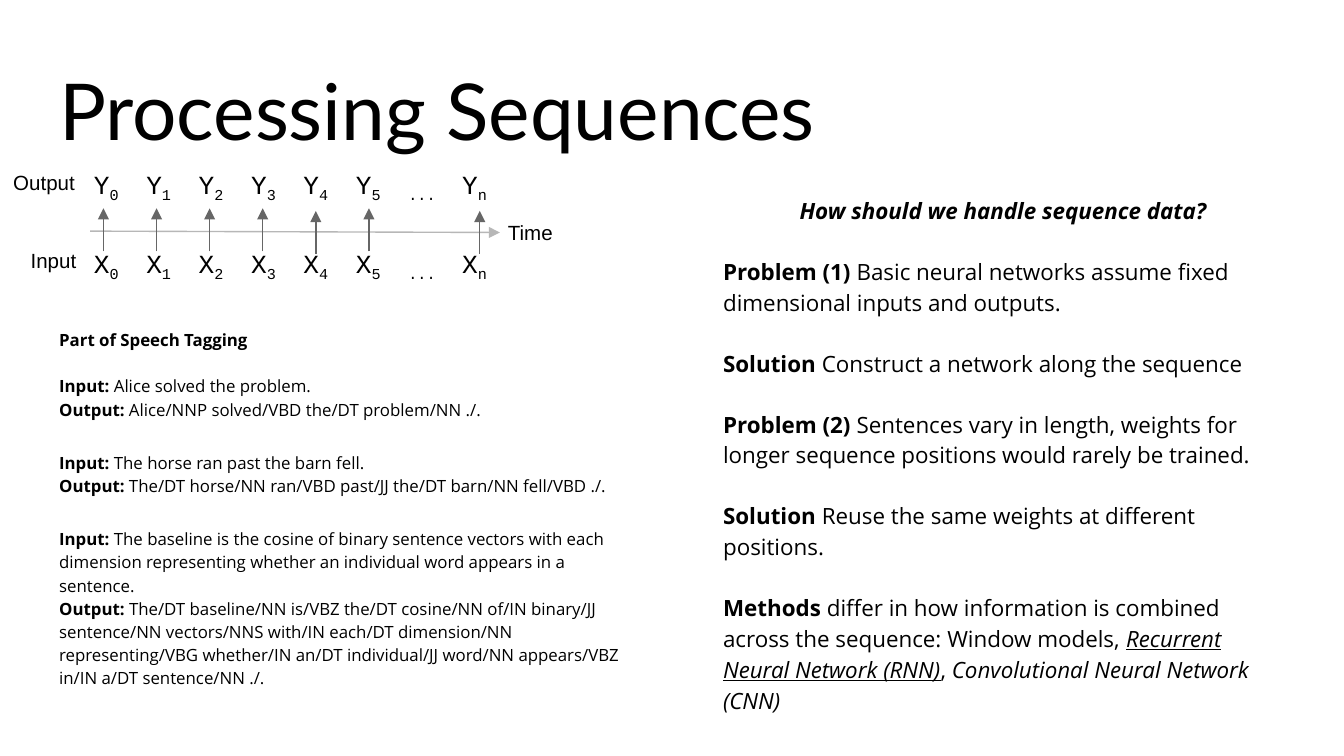
"""Build a slide on processing sequences with neural networks."""
from lxml.etree import SubElement
from pptx import Presentation
from pptx.dml.color import RGBColor
from pptx.enum.shapes import MSO_CONNECTOR
from pptx.enum.text import MSO_ANCHOR, MSO_AUTO_SIZE, PP_ALIGN
from pptx.oxml.ns import qn
from pptx.util import Inches, Pt

BLACK = RGBColor(0x00, 0x00, 0x00)
DARK_GRAY = RGBColor(0x66, 0x66, 0x66)
LIGHT_GRAY = RGBColor(0xB7, 0xB7, 0xB7)

STEP_GAP = 0.39
ARROW_GAP = 0.395
STEPS = ["0", "1", "2", "3", "4", "5", "...", "n"]
TAB_STOPS = [STEP_GAP * number for number in range(1, 7)] + [2.74]
ARROW_LEFTS = [0.77 + ARROW_GAP * number for number in range(6)] + [3.57]
ARROW_BOTTOMS = [1.87, 1.87, 1.87, 1.87, 1.89, 1.87, 1.89]
ARROW_LENGTH = 0.32

TAGGING = [
    (0, [("Part of Speech Tagging", "b")]),
    (12.5, [("Input:", "b"), (" Alice solved the problem.", ""), ("\n", ""),
            ("Output:", "b"), (" Alice/NNP solved/VBD the/DT problem/NN ./.", "")]),
    (16, [("Input:", "b"), (" The horse ran past the barn fell.", ""), ("\n", ""),
          ("Output:", "b"),
          (" The/DT horse/NN ran/VBD past/JJ the/DT barn/NN fell/VBD ./.", "")]),
    (16, [("Input:", "b"),
          (" The baseline is the cosine of binary sentence vectors with each dimension "
           "representing whether an individual word appears in a sentence.", ""),
          ("\n", ""), ("Output: ", "b"),
          ("The/DT baseline/NN is/VBZ the/DT cosine/NN of/IN binary/JJ sentence/NN "
           "vectors/NNS with/IN each/DT dimension/NN representing/VBG whether/IN an/DT "
           "individual/JJ word/NN appears/VBZ in/IN a/DT sentence/NN ./.", "")]),
]
QUESTIONS = [
    (0, [("How should we handle sequence data?", "bi")]),
    (16, [("Problem (1) ", "b"),
          ("Basic neural networks assume fixed dimensional inputs and outputs.", "")]),
    (16, [("Solution ", "b"), ("Construct a network along the sequence", "")]),
    (16, [("Problem (2) ", "b"),
          ("Sentences vary in length, weights for longer sequence positions would "
           "rarely be trained.", "")]),
    (16, [("Solution ", "b"), ("Reuse the same weights at different positions.", "")]),
    (16, [("Methods", "b"),
          (" differ in how information is combined across the sequence: Window models, ", ""),
          ("Recurrent Neural Network (RNN)", "iu"), (", ", ""),
          ("Convolutional Neural Network (CNN)", "i")]),
]


class SlideBuilder:
    """Hold the text style and the current slide."""

    title_font = "Lato"
    body_font = "Open Sans"
    label_font = "Arial"
    symbol_font = "Courier New"
    inset = Inches(0.1)

    def __init__(self, slide):
        self.slide = slide

    def place(self, box, left, top, width, height):
        """Position a text shape and return its frame."""
        box.left, box.top = Inches(left), Inches(top)
        box.width, box.height = Inches(width), Inches(height)
        frame = box.text_frame
        frame.word_wrap = True
        frame.auto_size = MSO_AUTO_SIZE.NONE
        frame.vertical_anchor = MSO_ANCHOR.TOP
        frame.margin_left = frame.margin_right = self.inset
        frame.margin_top = frame.margin_bottom = self.inset
        return frame

    def add_span(self, para, text, font, size, style=""):
        """Add one formatted run."""
        span = para.add_run()
        span.text = text
        span.font.name = font
        span.font.size = Pt(size)
        span.font.color.rgb = BLACK
        span.font.bold = "b" in style
        span.font.italic = "i" in style
        span.font.underline = "u" in style
        return span

    def title(self, text, *bounds):
        """Fill the title placeholder."""
        frame = self.place(self.slide.shapes.title, *bounds)
        frame.vertical_anchor = MSO_ANCHOR.BOTTOM
        frame.paragraphs[0].alignment = PP_ALIGN.LEFT
        self.add_span(frame.paragraphs[0], text, self.title_font, 42)

    def body(self, index, content, size, *bounds):
        """Fill a body placeholder with paragraphs free of bullets."""
        frame = self.place(self.slide.placeholders[index], *bounds)
        for number, (space, spans) in enumerate(content):
            para = frame.add_paragraph() if number else frame.paragraphs[0]
            para.alignment = PP_ALIGN.LEFT
            para.line_spacing = 1.15
            para.space_before = Pt(space)
            para.space_after = Pt(0)
            properties = para._p.get_or_add_pPr()
            properties.set("marL", "0")
            properties.set("indent", "0")
            SubElement(properties, qn("a:buNone"))
            for text, style in spans:
                if text == "\n":
                    para.add_line_break()
                else:
                    self.add_span(para, text, self.body_font, size, style)
        return frame

    def text_box(self, *bounds):
        """Add an empty text box and return its paragraph."""
        box = self.slide.shapes.add_textbox(0, 0, 0, 0)
        return self.place(box, *bounds).paragraphs[0]

    def label(self, text, left, top):
        """Add a short diagram label."""
        para = self.text_box(left, top, 1.5, 0.17)
        self.add_span(para, text, self.label_font, 11)

    def symbol_row(self, symbol, top):
        """Add a row of subscripted symbols aligned on tab stops."""
        para = self.text_box(0.6, top, 4.66, 0.54)
        tabs = SubElement(para._p.get_or_add_pPr(), qn("a:tabLst"))
        for stop in TAB_STOPS:
            SubElement(tabs, qn("a:tab"), pos=str(Inches(stop)), algn="l")
        for step in STEPS:
            if step != "...":
                self.add_span(para, symbol, self.symbol_font, 14)
            ending = "" if step == STEPS[-1] else "\t"
            span = self.add_span(para, step + ending, self.symbol_font, 14)
            span._r.get_or_add_rPr().set("baseline", "-25000")

    def arrow(self, start, end, color):
        """Add a thin line with an arrowhead at its end."""
        line = self.slide.shapes.add_connector(
            MSO_CONNECTOR.STRAIGHT, *map(Inches, start + end))
        line.line.color.rgb = color
        line.line.width = Pt(0.75)
        SubElement(line.line._get_or_add_ln(), qn("a:tailEnd"), type="triangle")
        SubElement(line._element.spPr, qn("a:effectLst"))


def main():
    """Create the deck and save it."""
    deck = Presentation()
    deck.slide_width = Inches(10)
    deck.slide_height = deck.slide_width * 9 // 16
    page = SlideBuilder(deck.slides.add_slide(deck.slide_layouts.get_by_name("Two Content")))

    page.title("Processing Sequences", 0.34, 0.35, 9.32, 0.91)
    page.body(1, TAGGING, 9, 0.34, 2.33, 4.37, 2.48)
    questions = page.body(2, QUESTIONS, 12, 5.28, 1.34, 4.37, 3.67)
    questions.paragraphs[0].alignment = PP_ALIGN.CENTER

    page.symbol_row("X", 1.74)
    page.symbol_row("Y", 1.15)
    page.arrow((0.67, 1.72), (3.72, 1.73), LIGHT_GRAY)
    for left, bottom in zip(ARROW_LEFTS, ARROW_BOTTOMS):
        page.arrow((left, bottom), (left, bottom - ARROW_LENGTH), DARK_GRAY)

    page.label("Input", 0.13, 1.76)
    page.label("Output", 0, 1.18)
    page.label("Time", 3.68, 1.55)
    deck.save("out.pptx")


if __name__ == "__main__":
    main()
